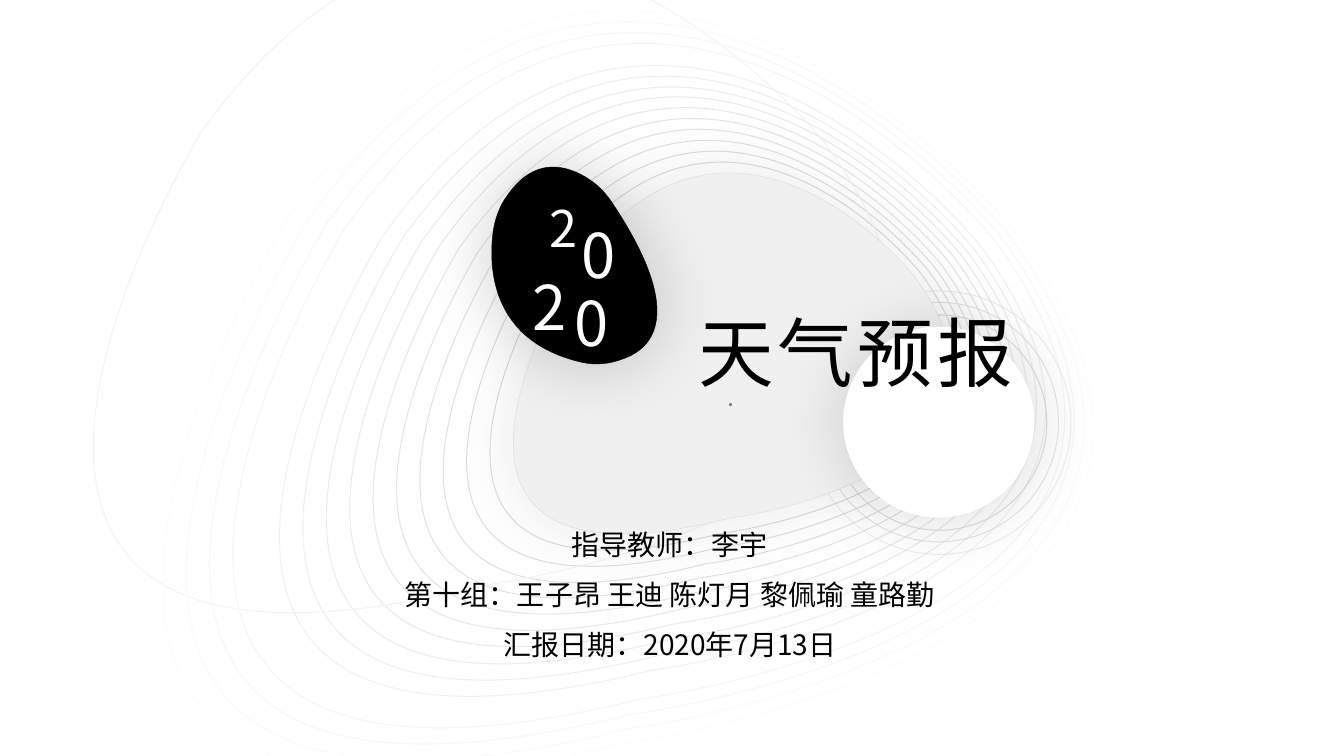
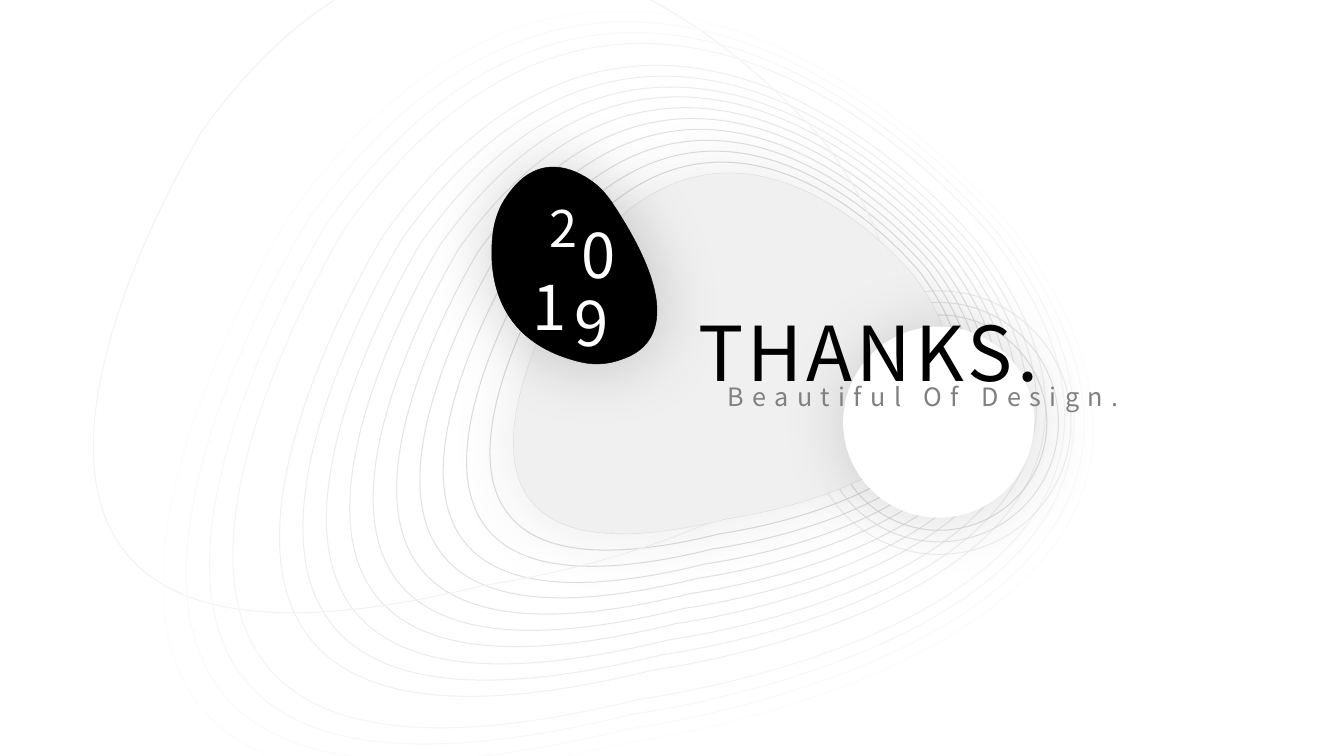
from lxml.etree import SubElement
from pptx import Presentation
from pptx.dml.color import RGBColor
from pptx.enum.shapes import MSO_SHAPE
from pptx.enum.text import MSO_AUTO_SIZE, PP_ALIGN
from pptx.oxml.ns import qn
from pptx.util import Emu, Pt

FONT = "Noto Sans CJK SC"
COLORS = {
    "ink": "000000",
    "paper": "FFFFFF",
    "blob": "F0F0F0",
    "edge": "D9D9D9",
    "blob_shadow": "323232",
    "subtitle": "808080",
}

# Outlines on a 1000 x 1000 grid: start point, then cubic curves
GRID = 1000
BLOB = [
    (677, 782),
    [(677, 782), (1461, 388), (885, 99)],
    [(885, 99), (185, -220), (26, 395)],
    [(26, 395), (-133, 1301), (677, 782)],
]
STONE = [
    (616, 77),
    [(500, 5), (280, -77), (98, 144)],
    [(49, 200), (24, 262), (12, 323)],
    [(-18, 503), (-12, 887), (549, 995)],
    [(628, 1010), (713, 1005), (793, 979)],
    [(976, 928), (1189, 754), (726, 174)],
    [(695, 138), (659, 103), (616, 77)],
]

# Boxes are left, top, width, height in px
BLOB_BOX = (506, 156, 351, 413)
OUTER_BOX = (191, -8, 746, 876)
RING_COUNT = 15
STRAY_RING, STRAY_SHIFT = 11, (-155, -95)
BLOB_TURN = 23.1
STONE_BOX = (468, 159, 157, 187)
DISC_CENTER, DISC_SIZE, HALO_STEP = (894, 402), 182, 23
HALO_ALPHAS = (82, 64, 45)
DIGIT_BOXES = [(518, 183, 37, 67), (549, 202, 43, 81),
               (502, 251, 43, 81), (542, 266, 43, 81)]
DIGIT_SIZES = (36, 44, 44, 44)


def px(n):
    return Emu(n * 9525)


def rgb(value):
    return RGBColor.from_string(value)


# Shape styling
def style(s, fill=None, line=None, weight=0.75, alpha=None, shadow=None):
    s.shadow.inherit = False
    if fill:
        s.fill.solid()
        s.fill.fore_color.rgb = rgb(fill)
    else:
        s.fill.background()
    if line:
        s.line.color.rgb = rgb(line)
        s.line.width = Pt(weight)
    else:
        s.line.fill.background()
    if alpha:
        color = s.line._ln.find(".//" + qn("a:srgbClr"))
        SubElement(color, qn("a:alpha"), val=str(alpha * 1000))
    if shadow:
        add_glow_shadow(s, *shadow)


def add_glow_shadow(s, color, alpha):
    effects = s._element.spPr.find(qn("a:effectLst"))
    outer = SubElement(effects, qn("a:outerShdw"), blurRad=str(Pt(50)),
                       dist="0", dir="0", algn="ctr", rotWithShape="0")
    clr = SubElement(outer, qn("a:srgbClr"), val=color)
    SubElement(clr, qn("a:alpha"), val=str(alpha * 1000))


# Curved outline stretched over a box
def add_outline(shapes, outline, box, turn=0, **look):
    x, y, w, h = map(px, box)
    builder = shapes.build_freeform(x, y)
    builder.add_line_segments([(x + w, y), (x + w, y + h), (x, y + h)])
    s = builder.convert_to_shape()
    path = s._element.find(".//" + qn("a:path"))
    for child in list(path):
        path.remove(child)
    path.set("w", str(GRID))
    path.set("h", str(GRID))
    start, *curves = outline
    steps = [("a:moveTo", [start])] + [("a:cubicBezTo", c) for c in curves]
    for tag, points in steps:
        step = SubElement(path, qn(tag))
        for cx, cy in points:
            SubElement(step, qn("a:pt"), x=str(cx), y=str(cy))
    SubElement(path, qn("a:close"))
    s.rotation = turn
    style(s, **look)


def add_circle(shapes, size, **look):
    cx, cy = DISC_CENTER
    s = shapes.add_shape(MSO_SHAPE.OVAL, px(cx - size // 2),
                         px(cy - size // 2), px(size), px(size))
    style(s, **look)


def add_text(shapes, box, lines, size, color, spacing=0, wrap=False,
             align=PP_ALIGN.LEFT, line_spacing=None):
    tf = shapes.add_textbox(*map(px, box)).text_frame
    tf.margin_left = tf.margin_right = px(5)
    tf.margin_top = tf.margin_bottom = px(5)
    tf.word_wrap = wrap
    tf.auto_size = MSO_AUTO_SIZE.SHAPE_TO_FIT_TEXT
    tf.text = "\n".join(lines)
    for p in tf.paragraphs:
        p.alignment = align
        p.line_spacing = line_spacing
        p.font.size = Pt(size)
        p.font.name = FONT
        p.font.color.rgb = rgb(color)
        props = p.font._element
        SubElement(props, qn("a:ea"), typeface=FONT)
        if spacing:
            props.set("spc", str(spacing * 100))


# Contour rings grow and fade from the blob to the outer box
def add_rings(shapes):
    for i in range(1, RING_COUNT + 1):
        x, y, w, h = (round(a + (b - a) * i / RING_COUNT)
                      for a, b in zip(BLOB_BOX, OUTER_BOX))
        if i == STRAY_RING:
            x, y = x + STRAY_SHIFT[0], y + STRAY_SHIFT[1]
        grey = 217 + 38 * i // 16
        add_outline(shapes, BLOB, (x, y, w, h), BLOB_TURN,
                    line=f"{grey:02X}" * 3)


def add_year_stone(shapes, year):
    group = shapes.add_group_shape().shapes
    add_outline(group, STONE, STONE_BOX, fill=COLORS["ink"],
                line=COLORS["ink"], weight=0.32, shadow=(COLORS["ink"], 20))
    for digit, box, size in zip(year, DIGIT_BOXES, DIGIT_SIZES):
        add_text(group, box, [digit], size, COLORS["paper"])


def add_title(shapes, title, title_width, subtitle, subtitle_width):
    group = shapes.add_group_shape().shapes
    add_text(group, (660, 286, title_width, 105), [title], 54,
             COLORS["ink"], spacing=3)
    add_text(group, (688, 358, subtitle_width, 41), [subtitle], 18,
             COLORS["subtitle"], spacing=6)


def add_cover(prs, year, *title):
    shapes = prs.slides.add_slide(prs.slide_layouts[6]).shapes
    add_rings(shapes)
    for i, alpha in enumerate(HALO_ALPHAS, 1):
        add_circle(shapes, DISC_SIZE + HALO_STEP * i, line=COLORS["edge"],
                   alpha=alpha)
    add_outline(shapes, BLOB, BLOB_BOX, BLOB_TURN, fill=COLORS["blob"],
                line=COLORS["edge"], weight=0.25,
                shadow=(COLORS["blob_shadow"], 10))
    add_year_stone(shapes, year)
    add_circle(shapes, DISC_SIZE, fill=COLORS["paper"],
               shadow=(COLORS["ink"], 15))
    add_title(shapes, *title)
    return shapes


def main():
    prs = Presentation()
    prs.slide_width, prs.slide_height = px(1280), px(720)

    # Opening
    shapes = add_cover(prs, "2020", "天气预报", 315, ".", 25)
    add_text(shapes, (336, 481, 604, 159),
             ["指导教师：李宇",
              "第十组：王子昂 王迪 陈灯月 黎佩瑜 童路勤",
              "汇报日期：2020年7月13日"],
             20, COLORS["ink"], wrap=True, align=PP_ALIGN.CENTER,
             line_spacing=1.5)

    # Closing
    add_cover(prs, "2019", "THANKS.", 349, "Beautiful Of Design.", 400)

    prs.save("out.pptx")


if __name__ == "__main__":
    main()
